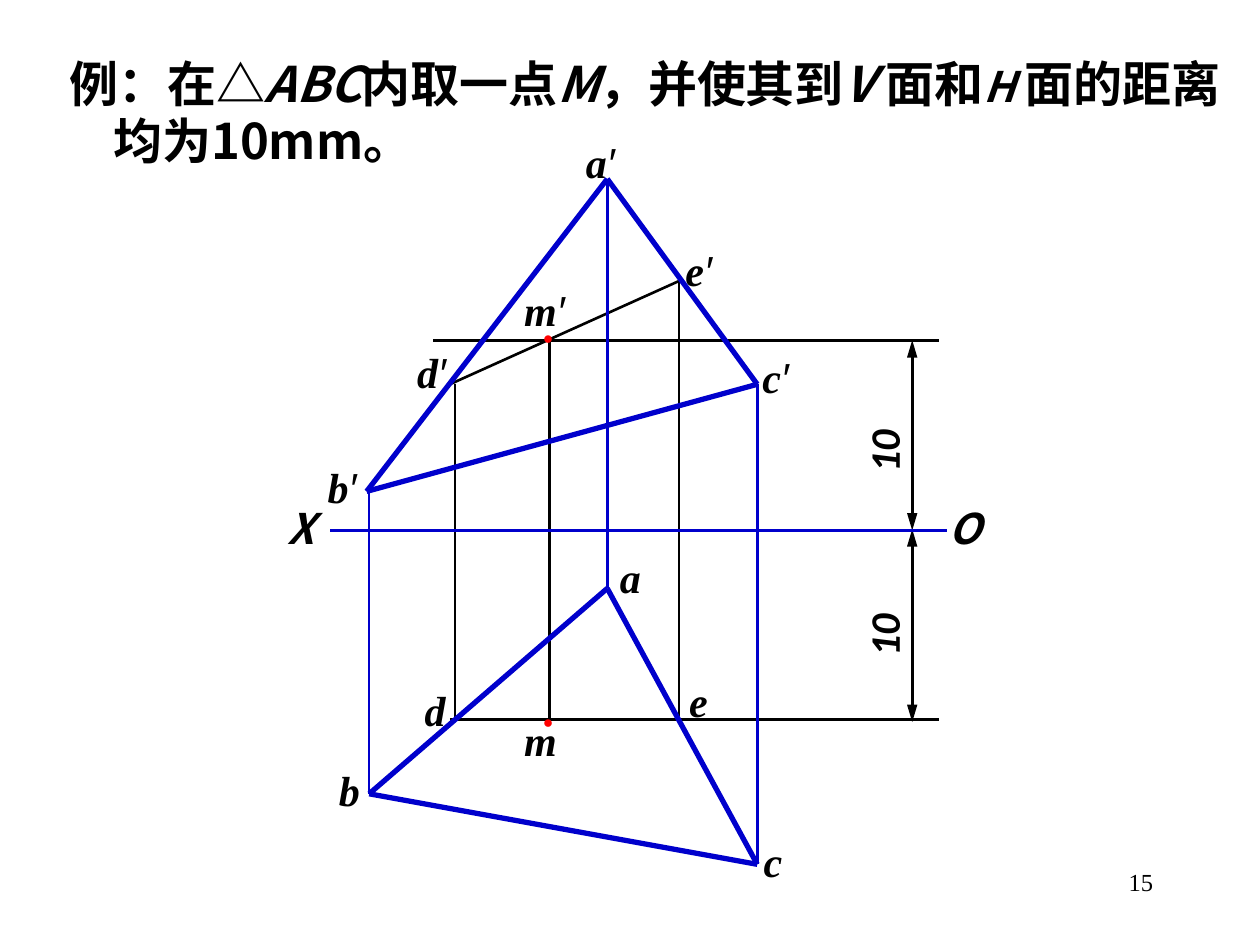
from collections import namedtuple
from itertools import combinations

from lxml.etree import SubElement
from pptx import Presentation
from pptx.dml.color import RGBColor
from pptx.enum.shapes import MSO_CONNECTOR as Connector
from pptx.enum.text import MSO_ANCHOR as Anchor, MSO_AUTO_SIZE as AutoSize, PP_ALIGN as Align
from pptx.oxml.ns import qn
from pptx.util import Inches, Pt

Box = namedtuple("Box", "left top width height")
BLACK, BLUE, RED = "000000", "0000CC", "FF0000"
SANS, SERIF = "Noto Sans CJK SC", "Times New Roman"


def color(value):
    return RGBColor.from_string(value)


def add_run(paragraph, text, size=24, font=SERIF, fill=BLACK, bold=False, italic=False):
    run = paragraph.add_run()
    run.text = text
    run.font.size = Pt(size)
    run.font.name = font
    run.font.bold = bold
    run.font.italic = italic
    run.font.color.rgb = color(fill)
    SubElement(run.font._element, qn("a:ea"), typeface=font)


def add_text(slide, box, text, inset=True, align=Align.LEFT, **style):
    shape = slide.shapes.add_textbox(*map(Inches, box))
    frame = shape.text_frame
    frame.word_wrap = False
    frame.auto_size = AutoSize.SHAPE_TO_FIT_TEXT
    if not inset:
        frame.margin_left = frame.margin_right = 0
        frame.margin_top = frame.margin_bottom = 0
    paragraph = frame.paragraphs[0]
    paragraph.alignment = align
    add_run(paragraph, text, **style)
    return shape


def add_line(slide, box, start, end, line_color=BLACK, width=1.5, arrows=False):
    ends = [Inches(value) for x, y in (start, end) for value in (box.left + x, box.top + y)]
    connector = slide.shapes.add_connector(Connector.STRAIGHT, *ends)
    connector.line.color.rgb = color(line_color)
    connector.line.width = Pt(width)
    if arrows:
        line = connector.line._get_or_add_ln()
        for tag in ("a:headEnd", "a:tailEnd"):
            SubElement(line, qn(tag), type="triangle", w="med", len="lg")
    SubElement(connector._element.spPr, qn("a:effectLst"))


def add_label(slide, box, name, x, y, width, font=SERIF):
    letter = name.rstrip("′")
    shape = add_text(slide, (box.left + x, box.top + y, width, 0.4), letter,
                     inset=False, font=font, bold=True, italic=True)
    if name != letter:
        add_run(shape.text_frame.paragraphs[0], "′", font="Arial", italic=True)


def add_title(slide, box):
    title = slide.shapes.title
    title.left, title.top, title.width, title.height = map(Inches, box)
    frame = title.text_frame
    frame.word_wrap = True
    frame.auto_size = AutoSize.NONE
    frame.vertical_anchor = Anchor.TOP
    first, second = frame.paragraphs[0], frame.add_paragraph()
    for paragraph in (first, second):
        paragraph.alignment = Align.LEFT
        paragraph.line_spacing = Pt(33)
    second._p.get_or_add_pPr().set("marL", str(Inches(0.35)))
    pieces = ["例：在△", "ABC", "内取一点", "M", "，并使其到", "V ", "面和", "H ", "面的距离"]
    for index, piece in enumerate(pieces):
        size = 24 if piece == "H " else 28
        add_run(first, piece, size=size, font=SANS, bold=True, italic=index % 2 == 1)
    add_run(second, "均为10mm。", size=28, font=SANS, bold=True)


def add_construction(slide, box):
    add_line(slide, box, (2.16, 1.7), (2.16, 4.75))
    add_line(slide, box, (1.37, 2.05), (3.19, 1.23))
    add_line(slide, box, (1.41, 2.05), (1.41, 4.73))
    add_line(slide, box, (3.19, 1.23), (3.19, 4.73))
    add_line(slide, box, (1.24, 1.7), (5.25, 1.7))
    add_line(slide, box, (1.37, 4.71), (5.25, 4.71))


def add_dimensions(slide, box):
    for start, end, text_top in ((1.7, 3.21, 2.32), (3.2, 4.73, 3.78)):
        add_line(slide, box, (5.04, start), (5.04, end), arrows=True)
        label = add_text(slide, (box.left + 4.53, box.top + text_top, 0.56, 0.5), "10",
                         font="Calibri", bold=True, italic=True)
        label.rotation = 270


def add_triangles(slide, box):
    upper = [(2.62, 0.42), (0.71, 2.9), (3.81, 2.05)]
    lower = [(2.62, 3.67), (0.73, 5.3), (3.81, 5.86)]
    for corners in (lower, upper):
        for start, end in combinations(corners, 2):
            add_line(slide, box, start, end, BLUE, 3)
    for (_, top), (x, bottom) in zip(upper, lower):
        add_line(slide, box, (x, top), (x, bottom), BLUE)
    add_line(slide, box, (0.42, 3.21), (5.32, 3.21), BLUE)


def add_points(slide, box):
    for top in (1.55, 4.59):
        add_text(slide, (box.left + 2.01, box.top + top, 0.32, 0.27), "●", size=10, fill=RED)
    labels = [
        ("a′", 2.45, 0.08, 0.28), ("b′", 0.4, 2.66, 0.28), ("c′", 3.85, 1.79, 0.26),
        ("d′", 1.11, 1.75, 0.28), ("e′", 3.24, 0.94, 0.26), ("m′", 1.96, 1.26, 0.37),
        ("a", 2.72, 3.38, 0.17), ("b", 0.49, 5.07, 0.17), ("c", 3.86, 5.63, 0.15),
        ("d", 1.17, 4.43, 0.17), ("e", 3.27, 4.36, 0.15), ("m", 1.96, 4.67, 0.26),
        ("X", 0.08, 2.99, 0.2, SANS), ("O", 5.33, 2.99, 0.24, SANS),
    ]
    for label in labels:
        add_label(slide, box, *label)


def add_projection(slide, box):
    add_construction(slide, box)
    add_dimensions(slide, box)
    add_triangles(slide, box)
    add_points(slide, box)


def add_page_number(slide, box):
    shape = add_text(slide, box, "15", size=14, align=Align.RIGHT)
    shape.text_frame.word_wrap = True
    shape.text_frame.auto_size = AutoSize.NONE


def main():
    presentation = Presentation()
    presentation.slide_width, presentation.slide_height = Inches(10), Inches(7.5)
    slide = presentation.slides.add_slide(presentation.slide_layouts[5])
    add_title(slide, Box(0.45, 0.38, 9.55, 1.5))
    add_projection(slide, Box(2.2, 1, 5.6, 6.1))
    add_page_number(slide, Box(7.17, 6.83, 2.08, 0.5))
    presentation.save("out.pptx")


if __name__ == "__main__":
    main()
